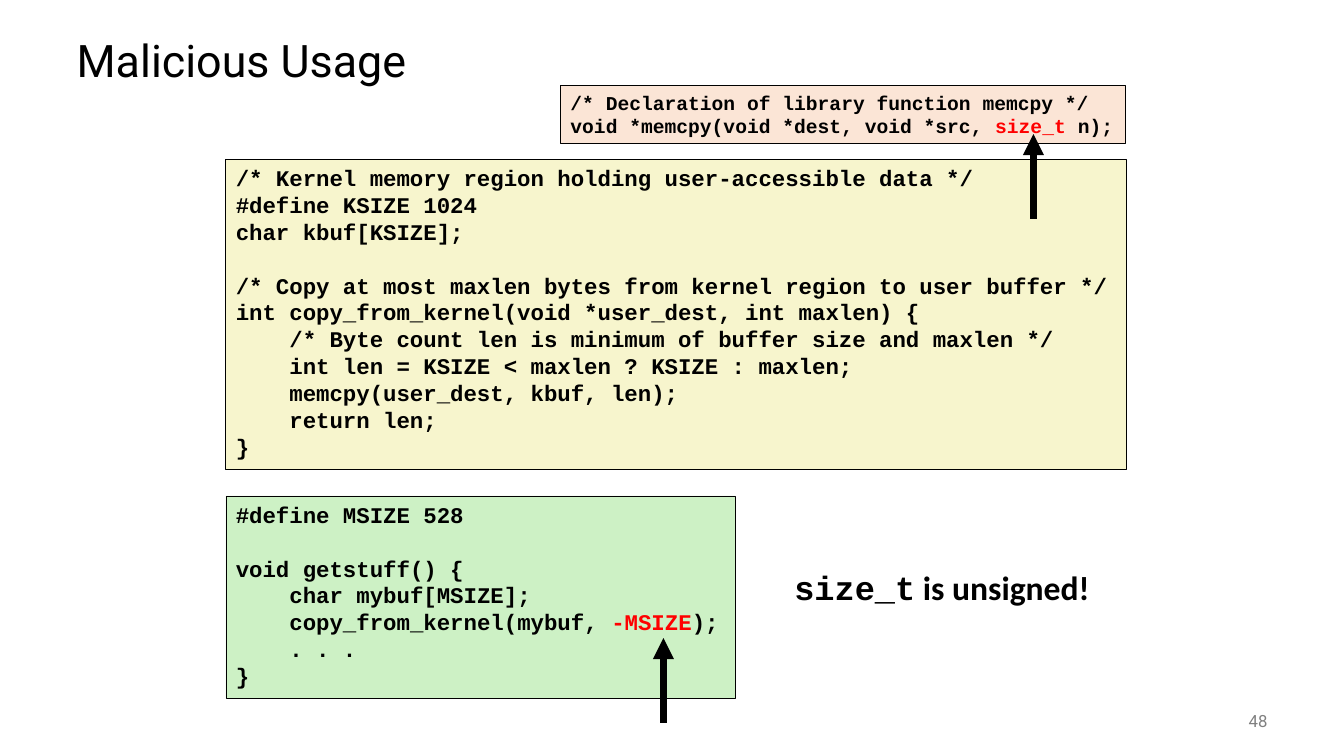
from dataclasses import dataclass

from lxml import etree
from pptx import Presentation
from pptx import util as u
from pptx.dml.color import RGBColor
from pptx.enum import shapes, text
from pptx.oxml import ns

EMU_PER_PX = 9144  # 100 px to the inch


@dataclass(frozen=True)
class Theme:
    black: str = "000000"
    red: str = "FF0000"
    gray: str = "808080"
    cream: str = "F7F5CD"
    green: str = "CDF1C5"
    peach: str = "FBE5D6"
    heading_font: str = "Roboto"
    code_font: str = "Courier New"
    note_font: str = "Calibri"
    title_size: int = 32
    note_size: int = 24
    code_size: int = 16
    declaration_size: int = 14
    number_size: int = 12
    border: float = 0.5
    arrow: int = 5


def px(*lengths):
    return [length * EMU_PER_PX for length in lengths]


class SlideBuilder:
    def __init__(self, slide, theme):
        self.slide = slide
        self.theme = theme

    def set_frame(self, frame, **values):
        for name, value in values.items():
            setattr(frame, name, value)

    def add_run(self, paragraph, words, color, **values):
        run = paragraph.add_run()
        run.text = words
        for name, value in values.items():
            setattr(run.font, name, value)
        run.font.color.rgb = RGBColor.from_string(color)

    def title(self, words, *box):
        shape = self.slide.shapes.title
        shape.left, shape.top, shape.width, shape.height = px(*box)
        self.set_frame(shape.text_frame, vertical_anchor=text.MSO_ANCHOR.MIDDLE,
                       auto_size=text.MSO_AUTO_SIZE.NONE)
        paragraph = shape.text_frame.paragraphs[0]
        paragraph.alignment = text.PP_ALIGN.LEFT
        paragraph.line_spacing = 0.9
        self.add_run(paragraph, words, self.theme.black, name=self.theme.heading_font,
                     size=u.Pt(self.theme.title_size))

    def code(self, source, fill, size, *box, marked):
        """Bordered listing in which the marked word is red."""
        shape = self.slide.shapes.add_shape(shapes.MSO_SHAPE.RECTANGLE, *px(*box))
        shape.shadow.inherit = False
        shape.fill.solid()
        shape.fill.fore_color.rgb = RGBColor.from_string(fill)
        shape.line.color.rgb = RGBColor.from_string(self.theme.black)
        shape.line.width = u.Pt(self.theme.border)
        frame = shape.text_frame
        self.set_frame(frame, word_wrap=False, vertical_anchor=text.MSO_ANCHOR.TOP,
                       auto_size=text.MSO_AUTO_SIZE.SHAPE_TO_FIT_TEXT)
        style = {"name": self.theme.code_font, "size": u.Pt(size), "bold": True}
        for index, line in enumerate(source.strip().split("\n")):
            paragraph = frame.add_paragraph() if index else frame.paragraphs[0]
            paragraph.alignment = text.PP_ALIGN.LEFT
            before, word, after = line.partition(marked) if marked else (line, "", "")
            for words, color in ((before, self.theme.black), (word, self.theme.red),
                                 (after, self.theme.black)):
                if words:
                    self.add_run(paragraph, words, color, **style)
            if not line:  # an empty code line keeps the height of the others
                end = etree.SubElement(paragraph._p, ns.qn("a:endParaRPr"),
                                       sz=str(size * 100), b="1")
                etree.SubElement(end, ns.qn("a:latin"), typeface=self.theme.code_font)

    def label(self, runs, size, color, *box, bold=False, wrap=False,
              align=text.PP_ALIGN.LEFT, anchor=text.MSO_ANCHOR.TOP):
        shape = self.slide.shapes.add_textbox(*px(*box))
        self.set_frame(shape.text_frame, word_wrap=wrap, vertical_anchor=anchor)
        paragraph = shape.text_frame.paragraphs[0]
        paragraph.alignment = align
        for words, font in runs:
            self.add_run(paragraph, words, color, name=font, size=u.Pt(size), bold=bold)

    def up_arrow(self, x, bottom, top):
        line = self.slide.shapes.add_connector(
            shapes.MSO_CONNECTOR.STRAIGHT, *px(x, bottom, x, top))
        line.line.color.rgb = RGBColor.from_string(self.theme.black)
        line.line.width = u.Pt(self.theme.arrow)
        etree.SubElement(line.line._get_or_add_ln(), ns.qn("a:tailEnd"), type="triangle")
        etree.SubElement(line._element.spPr, ns.qn("a:effectLst"))


KERNEL_CODE = """
/* Kernel memory region holding user-accessible data */
#define KSIZE 1024
char kbuf[KSIZE];

/* Copy at most maxlen bytes from kernel region to user buffer */
int copy_from_kernel(void *user_dest, int maxlen) {
    /* Byte count len is minimum of buffer size and maxlen */
    int len = KSIZE < maxlen ? KSIZE : maxlen;
    memcpy(user_dest, kbuf, len);
    return len;
}
"""

ATTACK_CODE = """
#define MSIZE 528

void getstuff() {
    char mybuf[MSIZE];
    copy_from_kernel(mybuf, -MSIZE);
    . . .
}
"""

DECLARATION = """
/* Declaration of library function memcpy */
void *memcpy(void *dest, void *src, size_t n);
"""


def main():
    theme = Theme()
    presentation = Presentation()
    presentation.slide_width, presentation.slide_height = px(1333, 750)
    title_only = presentation.slide_layouts[5]
    builder = SlideBuilder(presentation.slides.add_slide(title_only), theme)

    builder.title("Malicious Usage", 66, 25, 1200, 75)

    # Code listings
    builder.code(KERNEL_CODE, theme.cream, theme.code_size, 224, 158, 893, 308, marked="")
    builder.code(ATTACK_CODE, theme.green, theme.code_size, 224, 492, 505, 201,
                 marked="-MSIZE")
    builder.code(DECLARATION, theme.peach, theme.declaration_size, 556, 85, 560, 57,
                 marked="size_t ")

    # Remark and the arrows to the two risky places
    builder.label([("size_t", theme.code_font), (" is unsigned!", theme.note_font)],
                  theme.note_size, theme.black, 778, 558, 316, 50, bold=True)
    builder.up_arrow(658, 717, 633)
    builder.up_arrow(1025, 217, 133)

    # Slide number
    builder.label([("48", theme.heading_font)], theme.number_size, theme.gray,
                  1167, 695, 100, 40, wrap=True, align=text.PP_ALIGN.RIGHT,
                  anchor=text.MSO_ANCHOR.MIDDLE)

    presentation.save("out.pptx")


if __name__ == "__main__":
    main()
